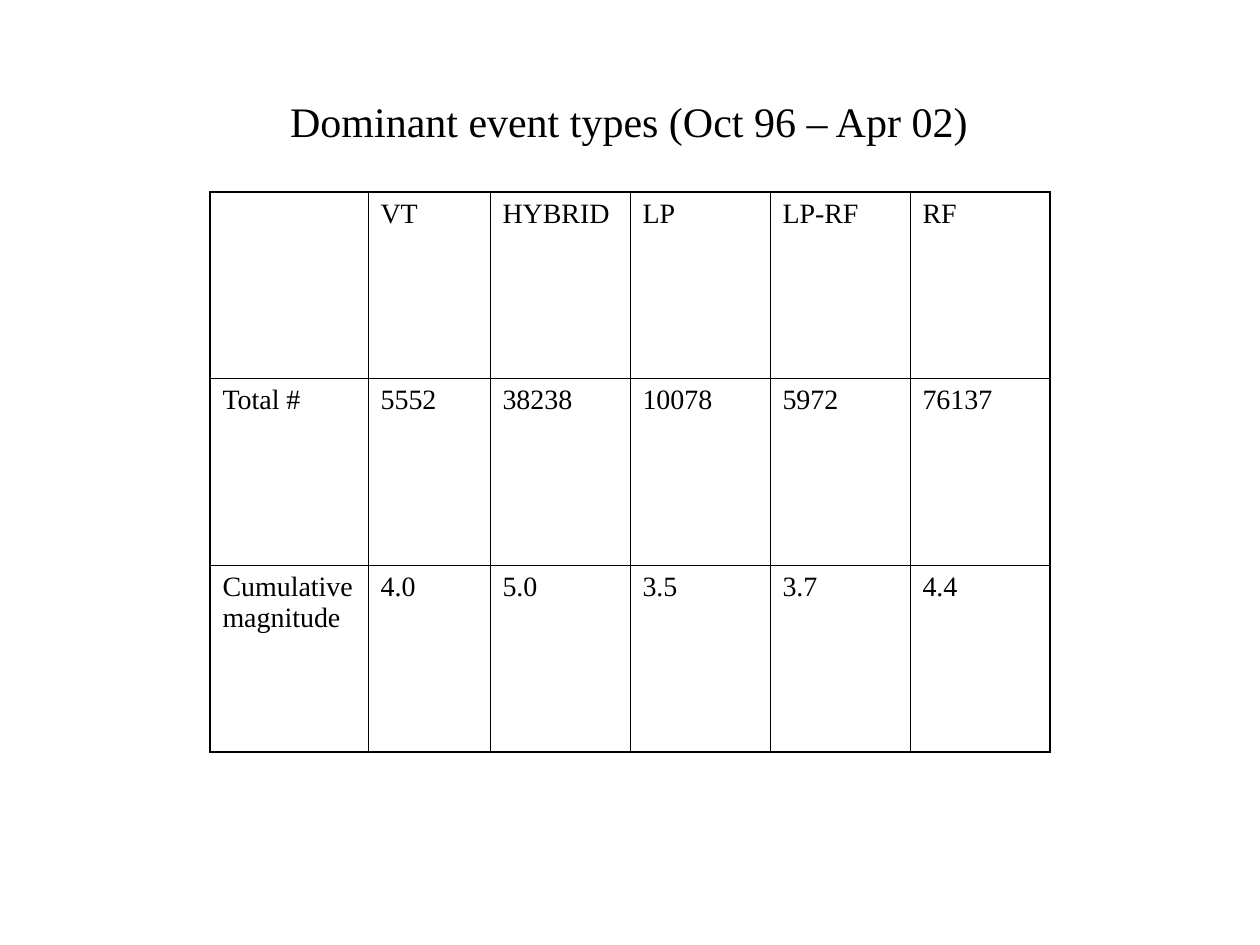
from dataclasses import dataclass

from lxml.etree import SubElement
from pptx import Presentation
from pptx.dml.color import RGBColor
from pptx.enum.text import MSO_ANCHOR, PP_ALIGN
from pptx.oxml.ns import qn
from pptx.util import Pt

PX = 914400 / 126


@dataclass(frozen=True)
class Theme:
    """Colours, font and sizes of the slide."""
    ink: str = "000000"
    font: str = "Times New Roman"
    title_size: int = 24
    cell_size: int = 16
    inner_line: float = 0.45
    outer_line: float = 1.08


THEME = Theme()
TITLE = "Dominant event types (Oct 96 – Apr 02)"
EVENT_ROWS = [
    ["", "VT", "HYBRID", "LP", "LP-RF", "RF"],
    ["Total #", "5552", "38238", "10078", "5972", "76137"],
    ["Cumulative magnitude", "4.0", "5.0", "3.5", "3.7", "4.4"],
]
COLUMN_WIDTHS = [158, 122, 140, 140, 140, 140]


def px(length):
    """Turn px into EMU."""
    return round(length * PX)


def apply_format(target, values):
    """Set each attribute in values on target."""
    for name, value in values.items():
        setattr(target, name, value)


def format_font(font, size):
    """Give a font the theme's face and ink."""
    apply_format(font, {"name": THEME.font, "size": Pt(size), "bold": False})
    font.color.rgb = RGBColor.from_string(THEME.ink)


def draw_border(cell, side, width):
    """Add one solid border to a cell."""
    border = SubElement(cell._tc.get_or_add_tcPr(), qn(f"a:ln{side}"), w=str(Pt(width)))
    ink = SubElement(border, qn("a:solidFill"))
    SubElement(ink, qn("a:srgbClr"), val=THEME.ink)


def place_title(slide, left, top, width, height):
    """Place the heading in the given box."""
    heading = slide.shapes.title
    apply_format(heading, {"left": px(left), "top": px(top),
                           "width": px(width), "height": px(height)})
    frame = heading.text_frame
    apply_format(frame, {"text": TITLE, "word_wrap": False,
                         "vertical_anchor": MSO_ANCHOR.BOTTOM})
    paragraph = frame.paragraphs[0]
    paragraph.alignment = PP_ALIGN.CENTER
    format_font(paragraph.font, THEME.title_size)


def place_event_table(slide, left, top, width, height):
    """Place the grid of event counts and magnitudes in the given box."""
    last_row, last_column = len(EVENT_ROWS) - 1, len(COLUMN_WIDTHS) - 1
    events = slide.shapes.add_table(last_row + 1, last_column + 1, px(left), px(top),
                                    px(width), px(height)).table
    apply_format(events, {"first_row": False, "horz_banding": False})
    for column, share in zip(events.columns, COLUMN_WIDTHS):
        column.width = px(width * share / sum(COLUMN_WIDTHS))
    for r, row in enumerate(EVENT_ROWS):
        for c, entry in enumerate(row):
            cell = events.cell(r, c)
            cell.text = entry
            format_font(cell.text_frame.paragraphs[0].font, THEME.cell_size)
            on_edge = {"L": c == 0, "R": c == last_column, "T": r == 0, "B": r == last_row}
            for side, outer in on_edge.items():
                draw_border(cell, side, THEME.outer_line if outer else THEME.inner_line)
            cell.fill.background()


def main():
    """Build and save the slide."""
    deck = Presentation()
    apply_format(deck, {"slide_width": px(1260), "slide_height": px(945)})
    slide = deck.slides.add_slide(deck.slide_layouts[5])
    place_event_table(slide, 210, 192, 840, 560)
    place_title(slide, 277, 89, 704, 63)
    deck.save("out.pptx")


if __name__ == "__main__":
    main()
